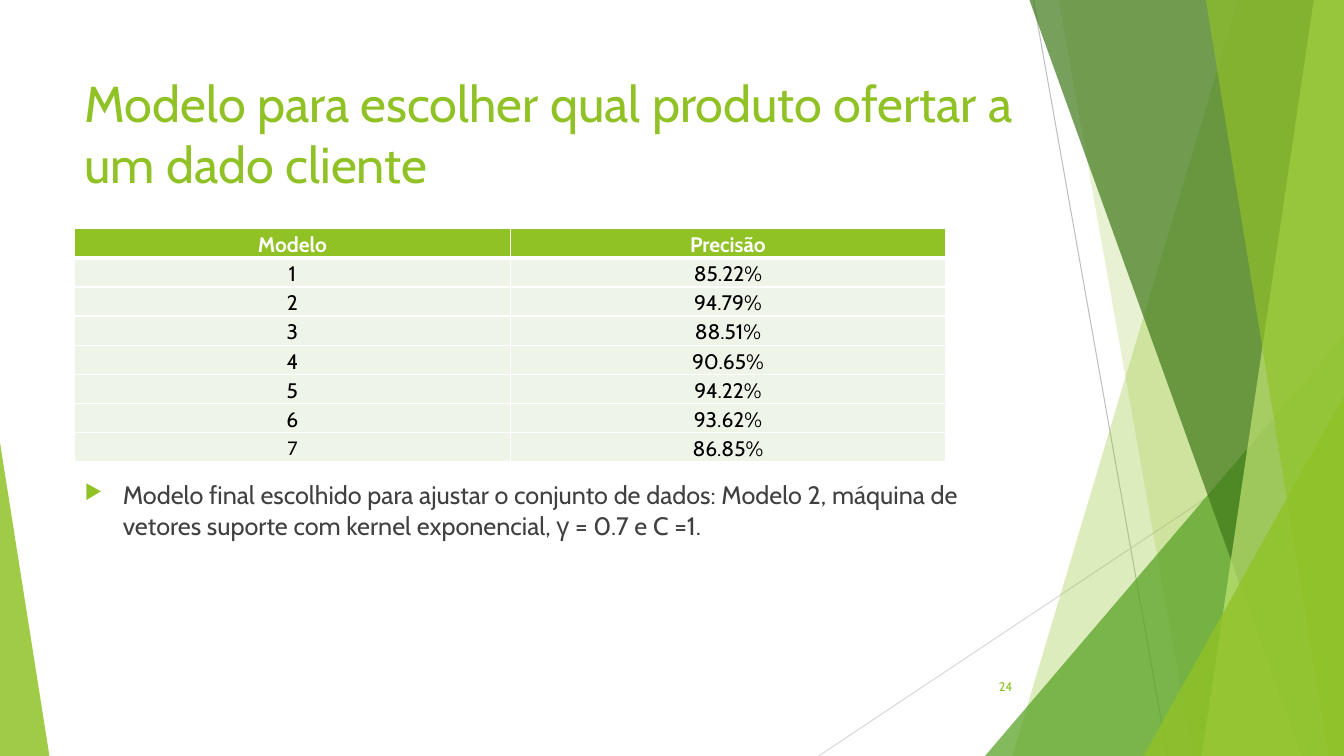
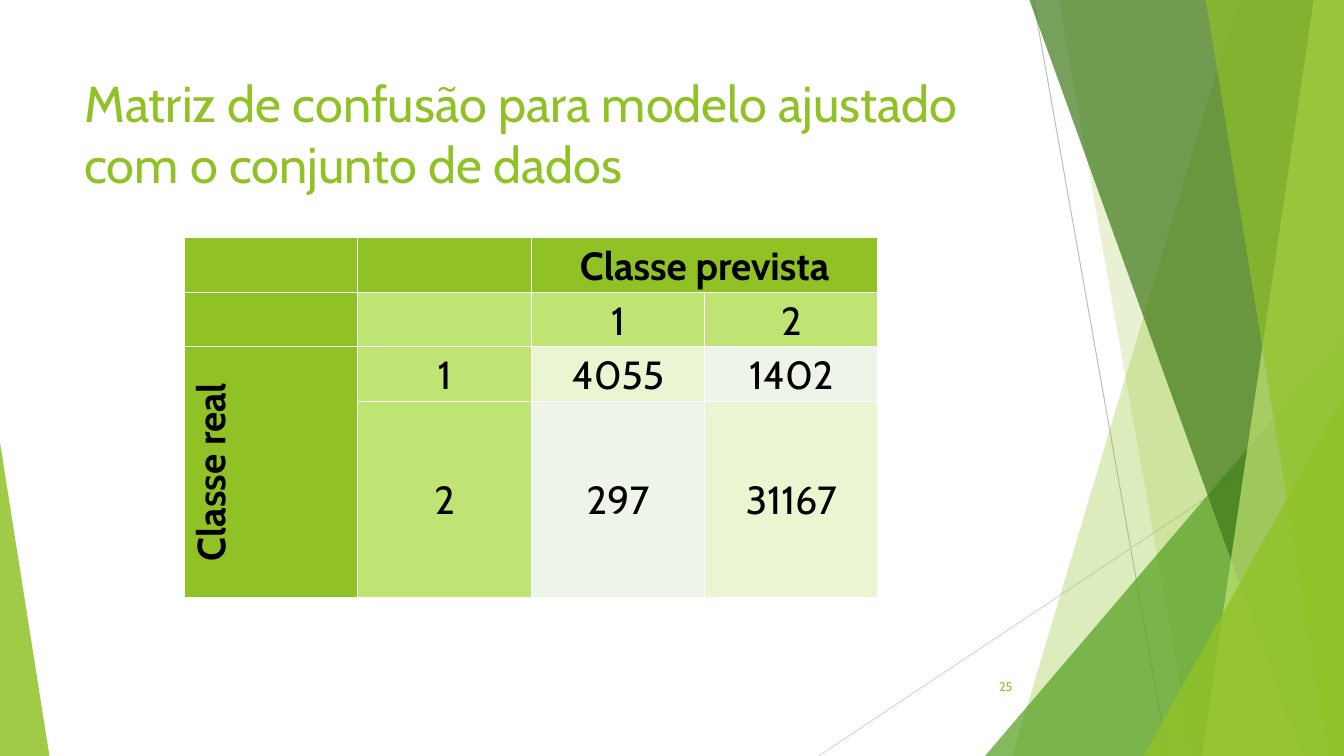
import pptx
import pptx.util
import pptx.dml.color
import pptx.enum.shapes
import pptx.enum.text
import pptx.oxml
import pptx.oxml.ns
import lxml.etree

Inches, Pt = pptx.util.Inches, pptx.util.Pt
ALIGN, ANCHOR = pptx.enum.text.PP_ALIGN, pptx.enum.text.MSO_ANCHOR

# Content
FIRST = {
    "title": "Modelo para escolher qual produto ofertar a um dado cliente",
    "number": "24",
    "header": ("Modelo", "Precisão"),
    "precision": ("85.22%", "94.79%", "88.51%", "90.65%", "94.22%", "93.62%", "86.85%"),
    "bullet": "Modelo final escolhido para ajustar o conjunto de dados: Modelo 2, "
              "máquina de vetores suporte com kernel exponencial, γ = 0.7 e C =1.",
}
SECOND = {
    "title": "Matriz de confusão para modelo ajustado com o conjunto de dados",
    "number": "25",
    "matrix": [("", "", "Classe prevista", ""),
               ("", "", "1", "2"),
               ("Classe real", "1", "4055", "1402"),
               ("", "2", "297", "31167")],
    "fills": [("green", "green", "green", "green"),
              ("green", "lime", "lime", "lime"),
              ("green", "lime", "pale", "mist"),
              ("green", "lime", "mist", "pale")],
}

# Shared style
COLORS = {"green": "90C226", "leaf": "54A021", "forest": "3F7819", "lime": "C0E474",
          "pale": "EAF6D1", "mist": "EEF4E8", "white": "FFFFFF", "black": "000000",
          "ink": "404040", "gray": "BFBFBF", "silver": "D9D9D9"}
FONT = "Cabin"
WIDTH, HEIGHT = 13.33, 7.5
LEFT, TEXT_WIDTH = 0.74, 9.4

# Backdrop, back to front
LINES = [((10.25, 0), (11.58, HEIGHT), "gray"), ((WIDTH, 4.03), (8.12, HEIGHT), "silver")]
# band: left edge at top and at bottom; corner: side, width and height
BACKDROP = [
    ("band", (12.28, 10.04), "green", 30),
    ("band", (10.5, 11.83), "green", 20),
    ("corner", ("right", 3.56, 4.17), "leaf", 72),
    ("band", (10.21, 12.91), "forest", 70),
    ("band", (13.03, 11.92), "lime", 70),
    ("band", (11.96, 13.18), "green", 65),
    ("corner", ("right", 1.99, 3.57), "green", 80),
    ("corner", ("left", 0.49, 3.11), "green", 85),
]


def rgb(name):
    return pptx.dml.color.RGBColor.from_string(COLORS[name])


def add_child(parent, tag, **attributes):
    child = lxml.etree.SubElement(parent, pptx.oxml.ns.qn(tag))
    for key, value in attributes.items():
        child.set(key, str(value))
    return child


def write(para, text, size, color, bold=False, font=FONT):
    span = para.add_run()
    span.text = text
    span.font.name = font
    span.font.size = Pt(size)
    span.font.bold = bold
    span.font.color.rgb = rgb(color)


def add_text(page, place, text, size, color, anchor=ANCHOR.TOP, align=ALIGN.LEFT):
    box = page.shapes.add_textbox(*map(Inches, place))
    box.text_frame.word_wrap = True
    box.text_frame.vertical_anchor = anchor
    para = box.text_frame.paragraphs[0]
    para.alignment = align
    write(para, text, size, color)
    return para


def add_backdrop(page):
    for start, end, color in LINES:
        line = page.shapes.add_connector(pptx.enum.shapes.MSO_CONNECTOR.STRAIGHT,
                                         *map(Inches, start + end))
        line.line.color.rgb = rgb(color)
        line.line.width = Pt(0.75)
        add_child(line._element.spPr, "a:effectLst")
    for kind, geometry, color, opacity in BACKDROP:
        if kind == "band":
            top, bottom = geometry
            outline = page.shapes.build_freeform(Inches(top), 0)
            corners = [(WIDTH, 0), (WIDTH, HEIGHT), (bottom, HEIGHT)]
            outline.add_line_segments([(Inches(x), Inches(y)) for x, y in corners], close=True)
            shape = outline.convert_to_shape()
        else:
            side, width, height = geometry
            x = WIDTH - width if side == "right" else 0
            shape = page.shapes.add_shape(pptx.enum.shapes.MSO_SHAPE.ISOSCELES_TRIANGLE,
                                          *map(Inches, (x, HEIGHT - height, width, height)))
            shape.adjustments[0] = 1 if side == "right" else 0
        shape.shadow.inherit = False
        shape.line.fill.background()
        shape.fill.solid()
        shape.fill.fore_color.rgb = rgb(color)
        tint = shape._element.spPr.find(".//" + pptx.oxml.ns.qn("a:srgbClr"))
        add_child(tint, "a:alpha", val=opacity * 1000)


def add_page(deck, content):
    page = deck.slides.add_slide(deck.slide_layouts[6])
    add_backdrop(page)
    add_text(page, (LEFT, 0.67, TEXT_WIDTH, 1.44), content["title"], 36, "green")
    add_text(page, (9.39, 6.61, 0.75, 0.4), content["number"], 9, "green",
             ANCHOR.MIDDLE, ALIGN.RIGHT)
    return page


def add_grid(page, corner, column_width, row_heights, columns):
    width, height = columns * column_width, sum(row_heights)
    table = page.shapes.add_table(len(row_heights), columns,
                                  *map(Inches, (*corner, width, height))).table
    table.first_row = table.horz_banding = False
    for column in table.columns:
        column.width = Inches(column_width)
    for row, row_height in zip(table.rows, row_heights):
        row.height = Inches(row_height)
    return table


def style_cell(cell, text, fill, size, inset, anchor, color="black", bold=False,
               font=FONT, top=1, bottom=1):
    cell.fill.solid()
    cell.fill.fore_color.rgb = rgb(fill)
    cell.margin_left = cell.margin_right = cell.margin_top = Inches(inset)
    cell.margin_bottom = 0
    cell.vertical_anchor = anchor
    if text:
        para = cell.text_frame.paragraphs[0]
        para.alignment = ALIGN.CENTER
        write(para, text, size, color, bold, font)
    properties = cell._tc.get_or_add_tcPr()
    for index, (edge, weight) in enumerate((("L", 1), ("R", 1), ("T", top), ("B", bottom))):
        border = add_child(properties, "a:ln" + edge, w=Pt(weight))
        add_child(add_child(border, "a:solidFill"), "a:srgbClr", val=COLORS["white"])
        properties.insert(index, border)


def add_bullet(para, indent):
    para.space_before = Pt(10)
    properties = para._p.get_or_add_pPr()
    properties.set("marL", str(Inches(indent)))
    properties.set("indent", str(-Inches(indent)))
    add_child(add_child(properties, "a:buClr"), "a:srgbClr", val=COLORS["green"])
    add_child(properties, "a:buSzPct", val=80000)
    add_child(properties, "a:buChar", char="▶")


def build_precision_page(deck):
    page = add_page(deck, FIRST)
    rows = [FIRST["header"]]
    rows += [(str(model), value) for model, value in enumerate(FIRST["precision"], 1)]
    table = add_grid(page, (LEFT, 2.27), 4.32, [2.31 / len(rows)] * len(rows), 2)
    for r, row in enumerate(rows):
        header = r == 0
        for c, text in enumerate(row):
            style_cell(table.cell(r, c), text, "green" if header else "mist", 15, 0.01,
                       ANCHOR.BOTTOM, "white" if header else "black", header,
                       "Calibri" if text == "7" else FONT,
                       top=3 if r == 1 else 1, bottom=3 if header else 1)
    add_bullet(add_text(page, (LEFT, 4.71, TEXT_WIDTH, 0.73), FIRST["bullet"], 18, "ink"), 0.38)


def build_matrix_page(deck):
    page = add_page(deck, SECOND)
    table = add_grid(page, (1.83, 2.36), 1.72, [0.54, 0.54, 0.54, 1.95], 4)
    for r, (texts, fills) in enumerate(zip(SECOND["matrix"], SECOND["fills"])):
        for c, (text, fill) in enumerate(zip(texts, fills)):
            style_cell(table.cell(r, c), text, fill, 28, 0.03, ANCHOR.MIDDLE,
                       bold=fill == "green")
    table.cell(0, 2).merge(table.cell(0, 3))
    table.cell(2, 0).merge(table.cell(3, 0))
    table.cell(2, 0)._tc.get_or_add_tcPr().set("vert", "vert270")


def main():
    deck = pptx.Presentation()
    deck.slide_width, deck.slide_height = Inches(WIDTH), Inches(HEIGHT)
    build_precision_page(deck)
    build_matrix_page(deck)
    deck.save("out.pptx")


if __name__ == "__main__":
    main()
